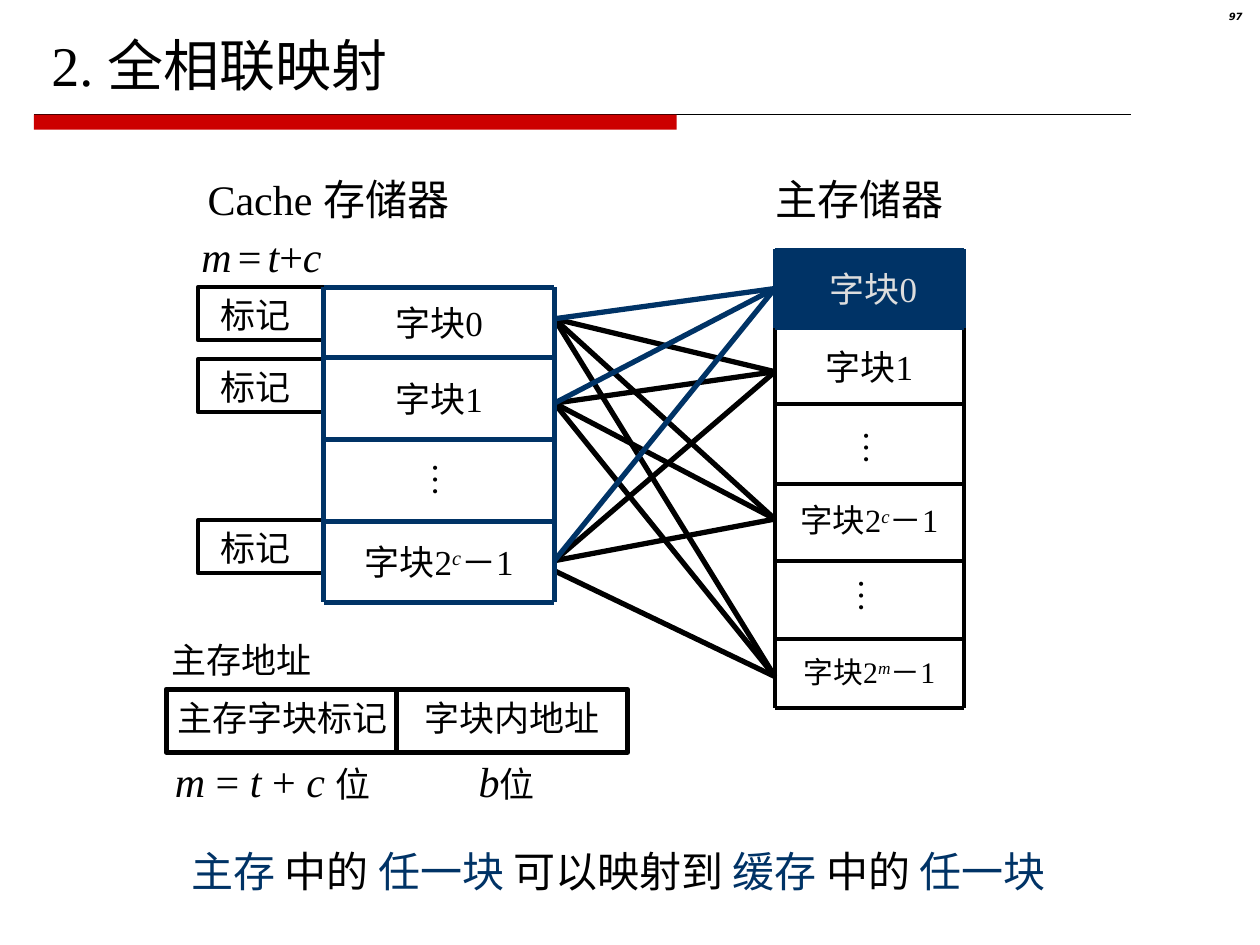
from dataclasses import dataclass
from itertools import pairwise

from pptx import Presentation
from pptx.dml.color import RGBColor
from pptx.enum.shapes import MSO_CONNECTOR, MSO_SHAPE
from pptx.enum.text import MSO_ANCHOR, MSO_AUTO_SIZE, PP_ALIGN
from pptx.oxml.ns import qn
from pptx.util import Inches, Pt


@dataclass(frozen=True)
class Theme:
    font: str = "Times New Roman"
    number_font: str = "DejaVu Sans"
    ink: str = "000000"
    navy: str = "003366"
    red: str = "CC0000"
    pale: str = "DDDDDD"
    title: float = 32
    heading: float = 24
    body: float = 20
    medium: float = 18.5
    small: float = 17
    gap: float = 14
    number: float = 5.7
    hairline: float = 0.75
    thin: float = 2.25
    thick: float = 3


THEME = Theme()


def write(frame, text, size=THEME.body, color=THEME.ink, font=THEME.font, bold=False,
          italic=False, align=PP_ALIGN.LEFT, spacing=None, margins=(0.1, 0.05),
          anchor=MSO_ANCHOR.TOP, wrap=True, grow=False, vertical=False):
    frame.margin_left = frame.margin_right = Inches(margins[0])
    frame.margin_top = frame.margin_bottom = Inches(margins[1])
    frame.vertical_anchor = anchor
    frame.word_wrap = wrap
    frame.auto_size = MSO_AUTO_SIZE.SHAPE_TO_FIT_TEXT if grow else MSO_AUTO_SIZE.NONE
    if vertical:
        frame._txBody.bodyPr.set("vert", "eaVert")
    paragraph = frame.paragraphs[0]
    paragraph.alignment = align
    if spacing:
        paragraph.line_spacing = spacing
    for words, changes in [(text, {})] if isinstance(text, str) else text:
        run = paragraph.add_run()
        run.text = words
        run.font.name = font
        run.font.size = Pt(changes.get("size", size))
        run.font.bold = bold
        run.font.italic = changes.get("italic", italic)
        run.font.color.rgb = RGBColor.from_string(changes.get("color", color))
        if "baseline" in changes:
            run.font._element.set("baseline", changes["baseline"])


@dataclass
class Board:
    theme: Theme
    slide: object

    def text(self, left, top, width, height, text, **style):
        box = self.slide.shapes.add_textbox(*map(Inches, (left, top, width, height)))
        write(box.text_frame, text, **style)

    def label(self, left, top, width, height, text, **style):
        self.text(left, top, width, height, text, grow=True, **style)

    def cell(self, left, top, width, height, text, **style):
        self.text(left, top, width, height, text, margins=(0.1, 0),
                  anchor=MSO_ANCHOR.MIDDLE, align=PP_ALIGN.CENTER, **style)

    def dots(self, left, top):
        self.label(left, top, 0.53, 0.38, "…", margins=(0.05, 0.1),
                   wrap=False, vertical=True)

    def rect(self, left, top, width, height, fill=None, line=None, weight=THEME.thin):
        box = self.slide.shapes.add_shape(
            MSO_SHAPE.RECTANGLE, *map(Inches, (left, top, width, height)))
        box.shadow.inherit = False
        if fill:
            box.fill.solid()
            box.fill.fore_color.rgb = RGBColor.from_string(fill)
        else:
            box.fill.background()
        if line:
            box.line.color.rgb = RGBColor.from_string(line)
            box.line.width = Pt(weight)
        else:
            box.line.fill.background()
        return box

    def line(self, x1, y1, x2, y2, color=THEME.ink, weight=THEME.thin):
        connector = self.slide.shapes.add_connector(
            MSO_CONNECTOR.STRAIGHT, *map(Inches, (x1, y1, x2, y2)))
        connector.line.color.rgb = RGBColor.from_string(color)
        connector.line.width = Pt(weight)
        properties = connector._element.spPr
        properties.append(properties.makeelement(qn("a:effectLst"), {}))
        return connector

    def column(self, left, right, edges, joints, **style):
        for y in edges:
            self.line(left, y, right, y, **style)
        for x in (left, right):
            for top, bottom in pairwise(joints):
                self.line(x, top, x, bottom, **style)


def last_block(exponent):
    return [("字块2", {}), (exponent, {"italic": True, "baseline": "30000"}), ("－1", {})]


def main():
    deck = Presentation()
    deck.slide_width, deck.slide_height = Inches(10), Inches(7.5)
    board = Board(THEME, deck.slides.add_slide(deck.slide_layouts[6]))
    theme = board.theme
    slanted = {"italic": True}
    navy = {"color": theme.navy}

    board.line(0.27, 0.91, 8.98, 0.91, weight=theme.hairline)
    board.rect(0.27, 0.91, 5.1, 0.12, fill=theme.red)
    board.text(9.37, 0.05, 0.59, 0.23, "97", size=theme.number, font=theme.number_font,
               bold=True, italic=True, align=PP_ALIGN.RIGHT, spacing=0.8)
    board.text(0.31, 0.19, 4.26, 0.64, "2. 全相联映射", size=theme.title, grow=True)
    board.text(1.42, 6.66, 8.07, 0.5, [
        ("主存 ", navy), ("中的 ", {}), ("任一块 ", navy), ("可以映射到 ", {}),
        ("缓存 ", navy), ("中的 ", {}), ("任一块", navy)], size=theme.heading, grow=True)

    cache_left, cache_right = 2.57, 4.4
    main_left, main_right = 6.15, 7.65
    main_top = 1.98
    cache_edges = (2.28, 2.84, 3.49, 4.14, 4.78)
    main_edges = (2.6, 3.21, 3.84, 4.45, 5.07, 5.62)

    main_blocks = (("字块1", {}), None,
                   (last_block("c"), {"size": theme.medium, "spacing": 0.9}), None,
                   (last_block("m"), {"size": theme.small, "spacing": 0.9}))
    for (top, bottom), block in zip(pairwise(main_edges), main_blocks):
        if block:
            words, style = block
            board.cell(main_left, top, main_right - main_left, bottom - top, words, **style)
    board.column(main_left, main_right, main_edges[1:], (main_top, 3.84, 4.45, 5.62))
    board.dots(6.66, 3.32)
    board.dots(6.62, 4.49)

    cache_blocks = ("字块0", "字块1", None, last_block("c"))
    for (top, bottom), words in zip(pairwise(cache_edges), cache_blocks):
        if words:
            board.cell(cache_left, top, cache_right - cache_left, bottom - top, words)
    board.dots(3.24, 3.57)

    cache_ports = (2.53, 3.2, 4.45)
    links = [(start, end) for start in cache_ports for end in (2.95, 4.12, 5.37)]
    links[-1] = (4.53, 5.37)
    for start, end in links:
        board.line(cache_right, start, main_left, end, weight=theme.thick)

    for top in (2.28, 2.85, 4.13):
        board.rect(1.57, top, 1, 0.42, line=theme.ink)
        board.label(1.65, top, 0.85, 0.44, "标记")

    for left in (1.32, 3.15):
        board.rect(left, 5.47, 1.83, 0.5, line=theme.ink, weight=theme.thick)
    board.label(1.31, 5.48, 1.95, 0.44, "主存字块标记")
    board.label(3.27, 5.48, 1.65, 0.44, "字块内地址")
    board.label(1.26, 5.02, 1.4, 0.44, "主存地址")

    unit = ("位", {"size": theme.body})
    gap = (" ", {"size": theme.gap})
    headings = (
        (1.29, 5.95, 1.95, [("m", slanted), (" = ", {}), ("t", slanted), (" + ", {}),
                            ("c ", slanted), unit]),
        (3.7, 5.95, 0.85, [("b", slanted), unit]),
        (1.5, 1.78, 1.3, [("m", slanted), gap, ("=", {}), gap, ("t", slanted),
                          ("+", {}), ("c", slanted)]),
        (1.55, 1.33, 2.4, "Cache 存储器"),
        (6.06, 1.33, 1.65, "主存储器"),
    )
    for left, top, width, words in headings:
        board.label(left, top, width, 0.5, words, size=theme.heading)

    board.column(cache_left, cache_right, cache_edges, (cache_edges[0], cache_edges[-1]),
                 color=theme.navy, weight=theme.thick)
    first_block = board.rect(main_left, main_top, main_right - main_left, 0.62,
                             fill=theme.navy)
    write(first_block.text_frame, " 字块0", color=theme.pale, margins=(0.1, 0),
          anchor=MSO_ANCHOR.MIDDLE, align=PP_ALIGN.CENTER)
    first_edges = (main_top, main_edges[0])
    board.column(main_left, main_right, first_edges, first_edges, color=theme.navy)
    for start in cache_ports:
        link = board.line(cache_right, start, main_left, 2.29,
                          color=theme.navy, weight=theme.thick)
        link.end_connect(first_block, 1)

    deck.save("out.pptx")


if __name__ == "__main__":
    main()
